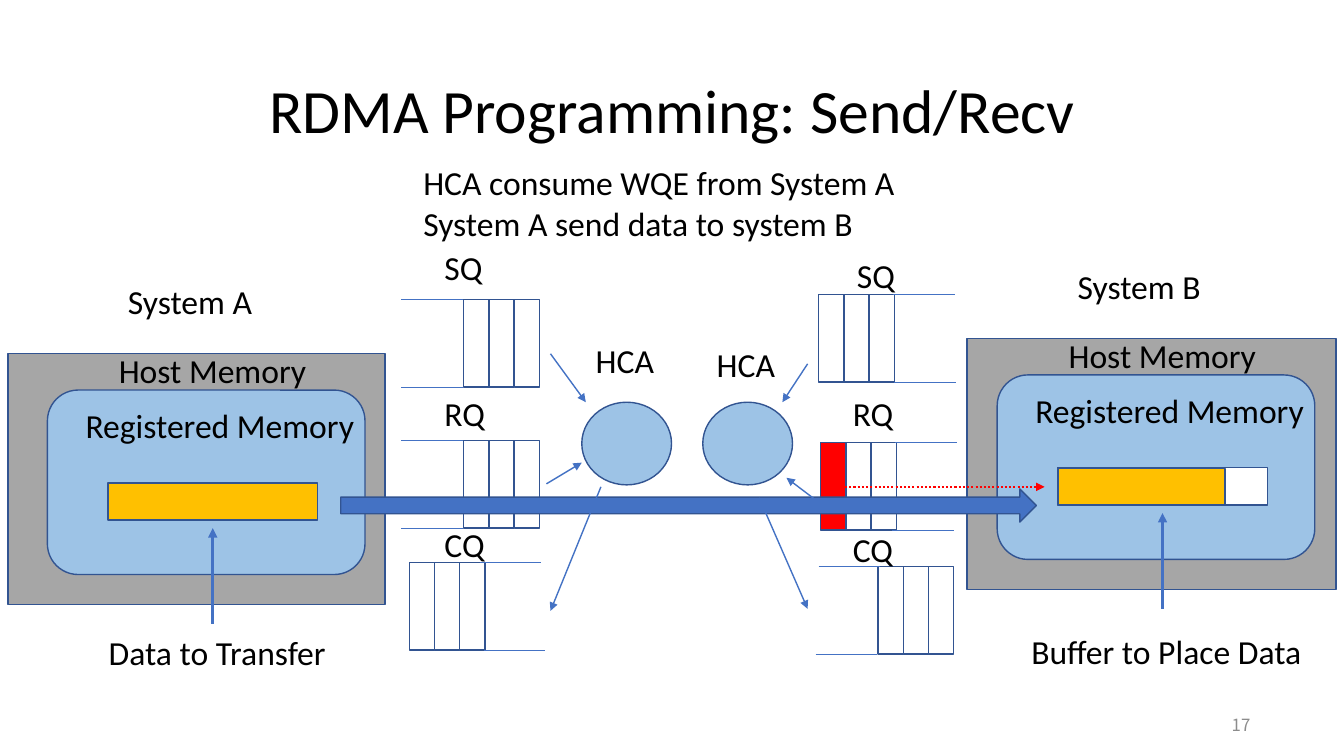
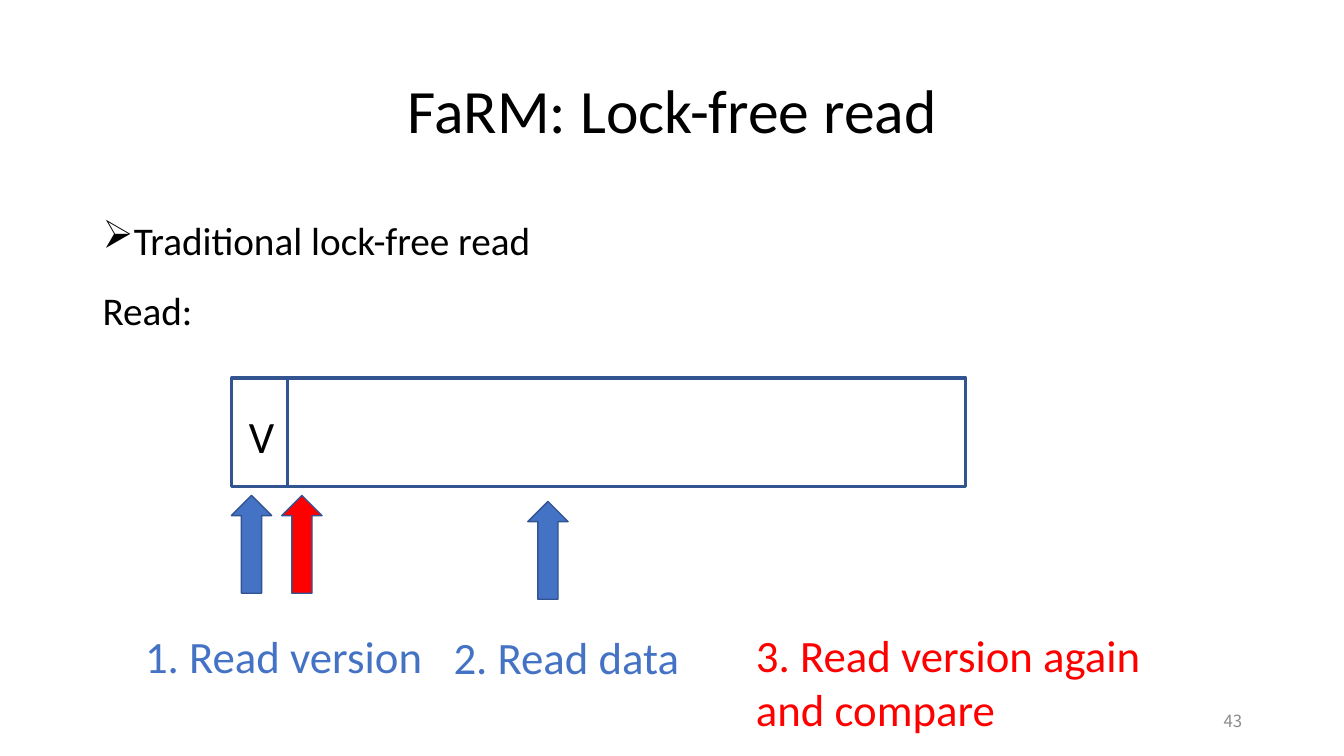
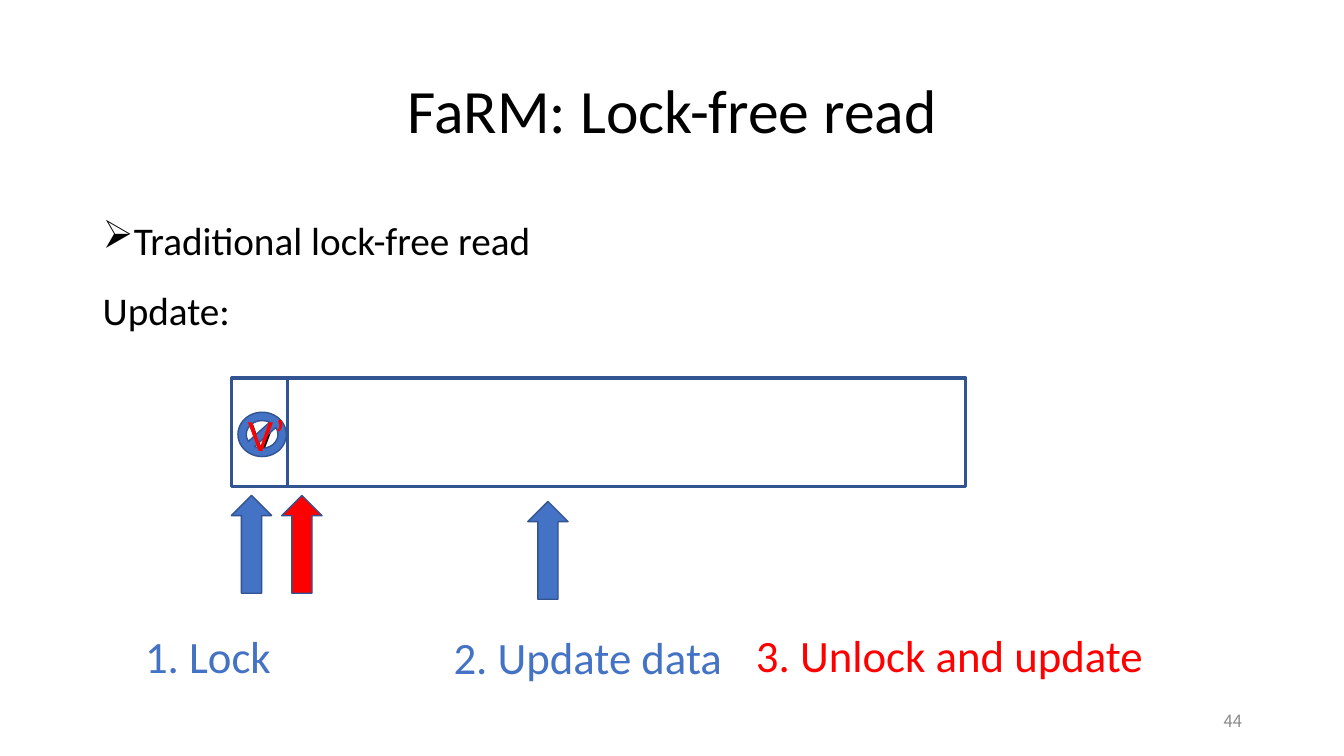
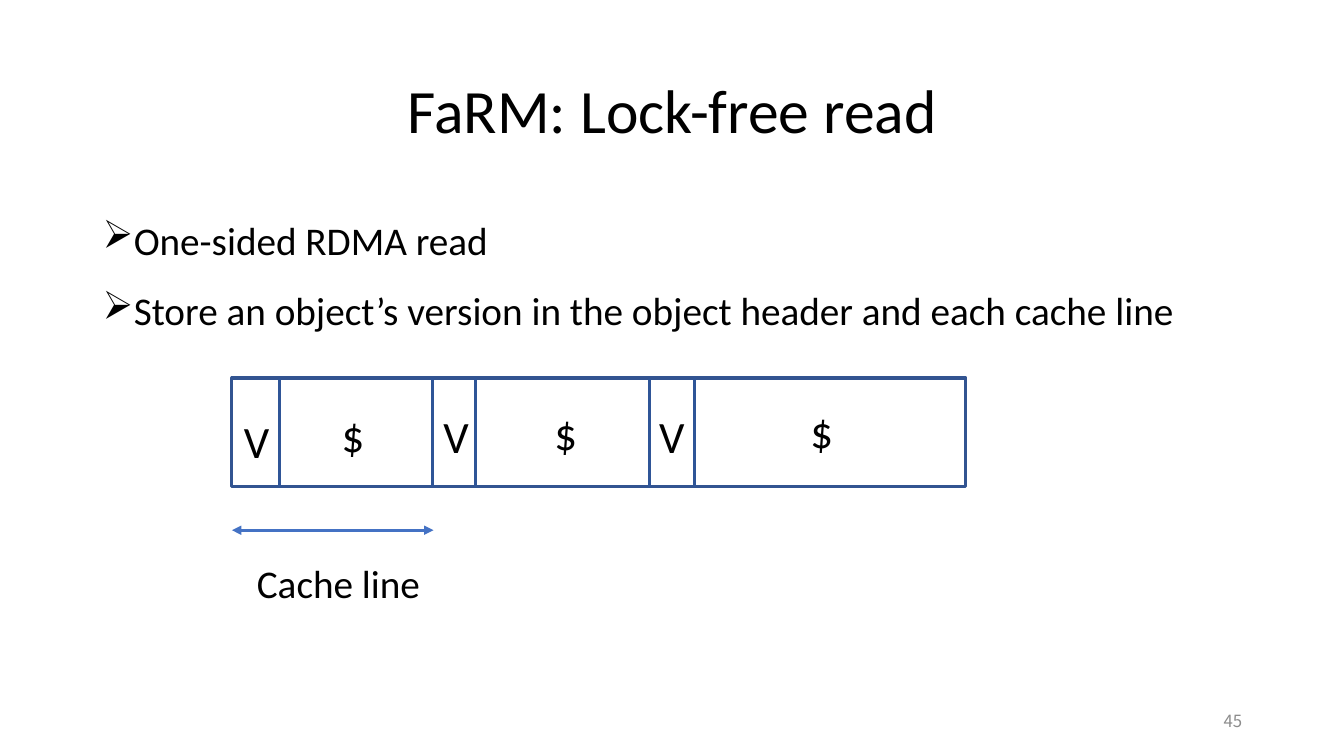
import lxml.etree
import pptx
import pptx.dml.color
import pptx.enum.dml
import pptx.enum.shapes
import pptx.enum.text
import pptx.oxml.ns
import pptx.util

Inches = pptx.util.Inches
Pt = pptx.util.Pt
qn = pptx.oxml.ns.qn
SHAPE = pptx.enum.shapes.MSO_SHAPE
ALIGN = pptx.enum.text.PP_ALIGN
ANCHOR = pptx.enum.text.MSO_ANCHOR
AUTO = pptx.enum.text.MSO_AUTO_SIZE
DOTTED = pptx.enum.dml.MSO_LINE.ROUND_DOT

BLACK, WHITE, RED, GREY = "000000", "FFFFFF", "FF0000", "A6A6A6"
BLUE, SKY, GOLD = "4472C4", "9DC3E6", "FFC000"
OUTLINE, DIVIDER, FOOTER = "325491", "2F5597", "8C8C8C"
FONT, NUMBER_FONT = "Calibri", "Noto Sans CJK SC"

LABEL = {"word_wrap": False, "auto_size": AUTO.SHAPE_TO_FIT_TEXT}
WRAPPED = {"word_wrap": True, "auto_size": AUTO.SHAPE_TO_FIT_TEXT}
FIXED = {"word_wrap": True, "vertical_anchor": ANCHOR.MIDDLE}
TITLE = {"alignment": ALIGN.CENTER, "line_spacing": 0.9}
NUMBER = {"alignment": ALIGN.RIGHT}
BODY = {"line_spacing": 1.2, "space_before": Pt(10)}

SLOT_WIDTH, SLOT_HEIGHT, RAIL_LENGTH = 0.25, 0.87, 0.61
OBJECT_LEFT, OBJECT_TOP, OBJECT_WIDTH, OBJECT_HEIGHT = 2.3, 3.75, 7.28, 1.08


def rgb(code):
    return pptx.dml.color.RGBColor.from_string(code)


def apply(target, values):
    for name, value in values.items():
        setattr(target, name, value)


def add_text(slide, lines, left, top, width, height=0.5, size=24, color=BLACK,
             font=FONT, frame=LABEL, paragraph=None):
    area = slide.shapes.add_textbox(*map(Inches, (left, top, width, height)))
    apply(area.text_frame, frame)
    area.text_frame.text = lines
    for line in area.text_frame.paragraphs:
        apply(line, paragraph or {})
        apply(line.font, {"size": Pt(size), "name": font})
        line.font.color.rgb = rgb(color)
    return area.text_frame


def add_box(slide, kind, left, top, width, height, fill=None, weight=1, rotation=0):
    box = slide.shapes.add_shape(kind, *map(Inches, (left, top, width, height)))
    box.shadow.inherit = False
    apply(box, {"rotation": rotation})
    if fill:
        box.fill.solid()
        box.fill.fore_color.rgb = rgb(fill)
    else:
        box.fill.background()
    box.line.color.rgb = rgb(OUTLINE)
    box.line.width = Pt(weight)
    return box


def add_line(slide, start, end, color=BLUE, weight=1.0, ends=(), dash=None):
    line = slide.shapes.add_connector(pptx.enum.shapes.MSO_CONNECTOR.STRAIGHT,
                                      *map(Inches, (*start, *end)))
    line.line.color.rgb = rgb(color)
    apply(line.line, {"width": Pt(weight), "dash_style": dash})
    properties = line._element.spPr
    for end_tag in ends:
        lxml.etree.SubElement(properties.find(qn("a:ln")), qn(end_tag), type="triangle")
    lxml.etree.SubElement(properties, qn("a:effectLst"))


def add_arrow(slide, start, end, **style):
    add_line(slide, start, end, ends=("a:tailEnd",), **style)


def add_bullet(paragraph):
    properties = paragraph._p.get_or_add_pPr()
    apply_indent = {"marL": Inches(0.25), "indent": -Inches(0.25)}
    for name, value in apply_indent.items():
        properties.set(name, str(value))
    lxml.etree.SubElement(properties, qn("a:buChar"), char="➢")


def new_slide(deck, title, number, number_left=9.42, number_top=6.95):
    slide = deck.slides.add_slide(deck.slide_layouts[6])
    add_text(slide, title, 0.92, 0.4, 11.5, 1.45, 44, frame=FIXED, paragraph=TITLE)
    add_text(slide, str(number), number_left, number_top, 3, 0.4, 12, FOOTER,
             NUMBER_FONT, FIXED, NUMBER)
    return slide


def add_system(slide, name, host, left, top, memory_fill):
    add_box(slide, SHAPE.RECTANGLE, host[0], top - 0.36, host[1], 2.49, GREY)
    add_box(slide, SHAPE.ROUNDED_RECTANGLE, left, top, 3.15, 1.83, SKY)
    add_text(slide, name, left + 0.7, top - 1.13, 1.44)
    add_text(slide, "Host Memory", left + 0.61, top - 0.45, 2.08)
    add_text(slide, "Registered Memory", left + 0.28, top + 0.1, 2.97)
    add_box(slide, SHAPE.RECTANGLE, left + 0.6, top + 0.92, 2.08, 0.37, memory_fill)
    add_arrow(slide, (left + 1.64, top + 2.32), (left + 1.64, top + 1.37), weight=2.25)


def add_queue(slide, name, label, left, top, rails, first_fill=None):
    for slot in range(3):
        add_box(slide, SHAPE.RECTANGLE, left + slot * SLOT_WIDTH, top, SLOT_WIDTH,
                SLOT_HEIGHT, None if slot else first_fill)
    for rail, y in zip(rails, (top, top + SLOT_HEIGHT)):
        add_line(slide, (rail, y), (rail + RAIL_LENGTH, y), weight=0.5)
    add_text(slide, name, *label, 0.6)


def add_send_recv(deck):
    slide = new_slide(deck, "RDMA Programming: Send/Recv", 17, 9.5, 6.99)
    add_text(slide, "HCA consume WQE from System A\nSystem A send data to system B",
             4.1, 1.56, 11.95, 0.91, frame=WRAPPED)
    add_system(slide, "System A", (0.08, 3.74), 0.47, 3.87, GOLD)
    add_system(slide, "System B", (9.59, 3.66), 9.89, 3.72, WHITE)
    add_text(slide, "Data to Transfer", 0.98, 6.22, 2.37)
    add_text(slide, "Buffer to Place Data", 10.13, 6.21, 2.91)
    for left, label_top in ((5.77, 3.32), (6.97, 3.36)):
        add_box(slide, SHAPE.OVAL, left, 3.99, 0.89, 0.82, SKY)
        add_text(slide, "HCA", left + 0.04, label_top, 0.79)
    for queue in (
        ("SQ", (4.31, 2.4), 4.6, 2.97, (3.98, 3.98)),
        ("RQ", (4.31, 3.85), 4.6, 4.37, (3.98, 3.98)),
        ("CQ", (4.31, 5.15), 4.06, 5.58, (4.76, 4.8)),
        ("SQ", (8.4, 2.48), 8.12, 2.92, (8.86, 8.87)),
        ("RQ", (8.36, 3.85), 8.14, 4.39, (8.88, 8.85), RED),
        ("CQ", (8.36, 5.2), 8.71, 5.62, (8.12, 8.09)),
    ):
        add_queue(slide, *queue)
    add_arrow(slide, (8.34, 4.83), (10.36, 4.83), color=RED, weight=1.5, dash=DOTTED)
    add_box(slide, SHAPE.RIGHT_ARROW, 3.38, 4.85, 6.9, 0.33, BLUE)
    add_box(slide, SHAPE.RECTANGLE, 10.5, 4.65, 1.65, 0.36, GOLD)
    for start, end in (
        ((5.46, 3.51), (5.81, 3.99)),
        ((5.42, 4.8), (5.77, 4.59)),
        ((5.96, 4.83), (5.46, 6.06)),
        ((8.01, 3.61), (7.76, 3.99)),
        ((7.53, 4.94), (8.01, 6.04)),
        ((8.09, 4.96), (7.8, 4.74)),
    ):
        add_arrow(slide, start, end)


def new_read_slide(deck, number, body, bullets, dividers):
    slide = new_slide(deck, "FaRM: Lock-free read", number)
    points = add_text(slide, body, 0.92, 2, 11.5, 4.76, 28,
                      frame={"word_wrap": True}, paragraph=BODY)
    for point in points.paragraphs[:bullets]:
        add_bullet(point)
    add_box(slide, SHAPE.RECTANGLE, OBJECT_LEFT, OBJECT_TOP, OBJECT_WIDTH,
            OBJECT_HEIGHT, weight=2.25)
    for x in dividers:
        add_line(slide, (x, OBJECT_TOP), (x, OBJECT_TOP + OBJECT_HEIGHT), DIVIDER, 2.25)
    return slide


def add_traditional(deck, number, operation, first, second, third):
    slide = new_read_slide(deck, number, f"Traditional lock-free read\n{operation}",
                           1, [2.85])
    add_text(slide, "V", 2.37, 4.01, 0.46, 0.64, 32)
    for left, top, fill in ((2.01, 5.2, BLUE), (4.95, 5.26, BLUE), (2.51, 5.2, RED)):
        add_box(slide, SHAPE.RIGHT_ARROW, left, top, 0.97, 0.4, fill, rotation=270)
    add_text(slide, first[0], 1.34, 6.19, first[1], 0.64, 32, BLUE)
    add_text(slide, second[0], 4.4, 6.2, second[1], 0.64, 32, BLUE)
    add_text(slide, third[0], 7.4, 6.18, third[1], third[2], 32, RED, frame=WRAPPED)
    return slide


def add_read(deck):
    add_traditional(deck, 43, "Read:", ("1. Read version", 2.98),
                    ("2. Read data", 2.47), ("3. Read version again and compare", 4.03, 1.18))


def add_update(deck):
    slide = add_traditional(deck, 44, "Update:", ("1. Lock", 1.46),
                            ("2. Update data", 2.9), ("3. Unlock and update", 4.9, 0.64))
    lock = add_box(slide, SHAPE.NO_SYMBOL, 2.36, 4.09, 0.48, 0.44, BLUE)
    lock._element.spPr.xfrm.set("flipV", "1")
    add_text(slide, "V’", 2.36, 3.99, 0.58, 0.64, 32, RED)


def add_one_sided(deck):
    body = ("One-sided RDMA read\n"
            "Store an object’s version in the object header and each cache line")
    slide = new_read_slide(deck, 45, body, 2, [2.77, 4.29, 4.72, 6.44, 6.89])
    for left, top in ((2.32, 4.06), (4.3, 4.01), (6.44, 4.01)):
        add_text(slide, "V", left, top, 0.46, 0.64, 32)
    for left, top in ((3.29, 4), (5.4, 3.98), (7.94, 3.96)):
        add_text(slide, "$", left, top, 0.43, 0.64, 32)
    add_line(slide, (2.3, 5.26), (4.3, 5.26), weight=2.25, ends=("a:headEnd", "a:tailEnd"))
    add_text(slide, "Cache line", 2.45, 5.5, 1.84, 0.57, 28)


def main():
    deck = pptx.Presentation()
    apply(deck, {"slide_width": Inches(13.33), "slide_height": Inches(7.5)})
    for add_content in (add_send_recv, add_read, add_update, add_one_sided):
        add_content(deck)
    deck.save("out.pptx")


if __name__ == "__main__":
    main()
